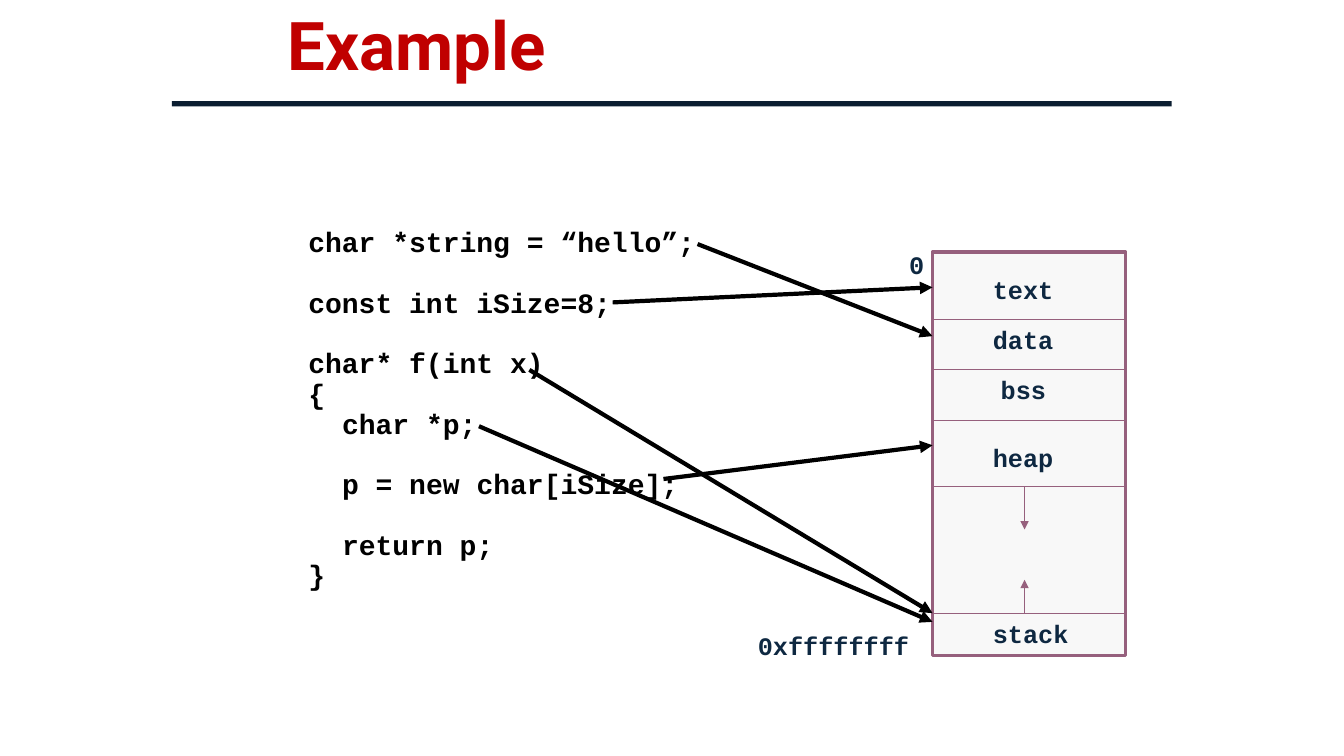
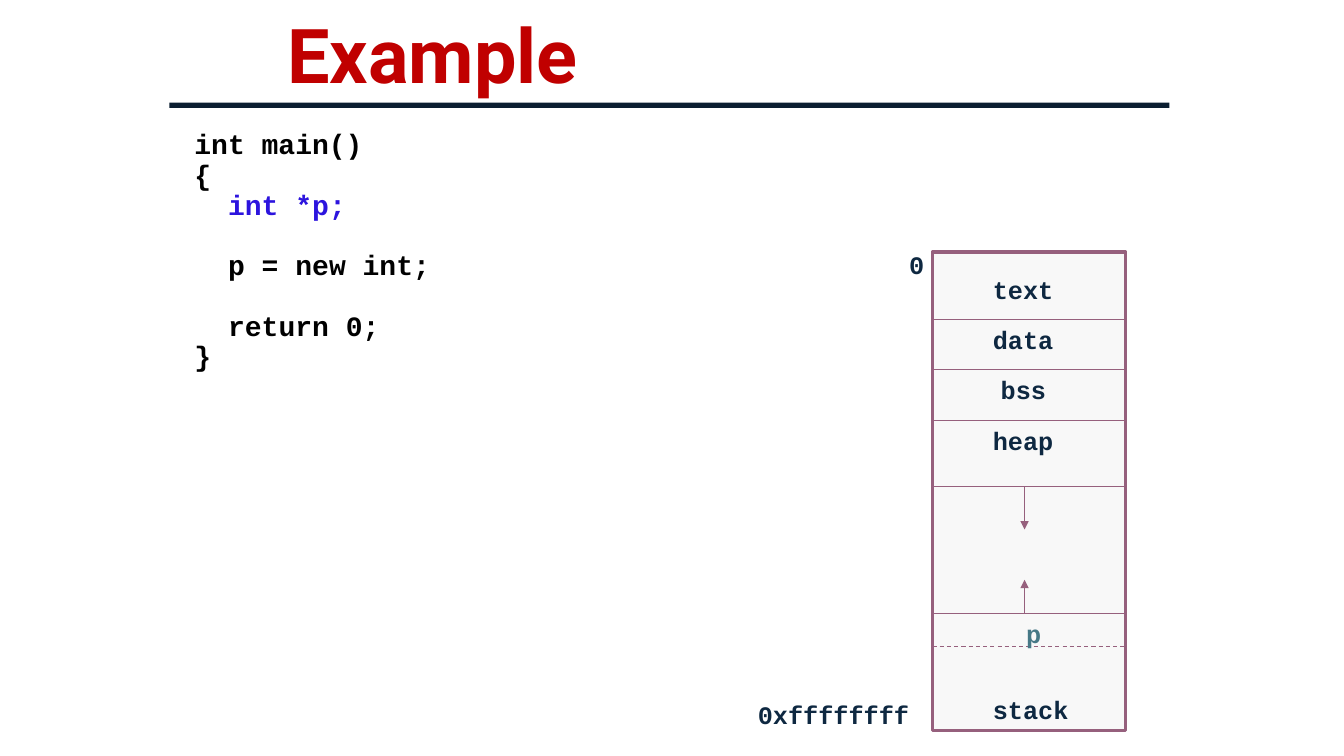
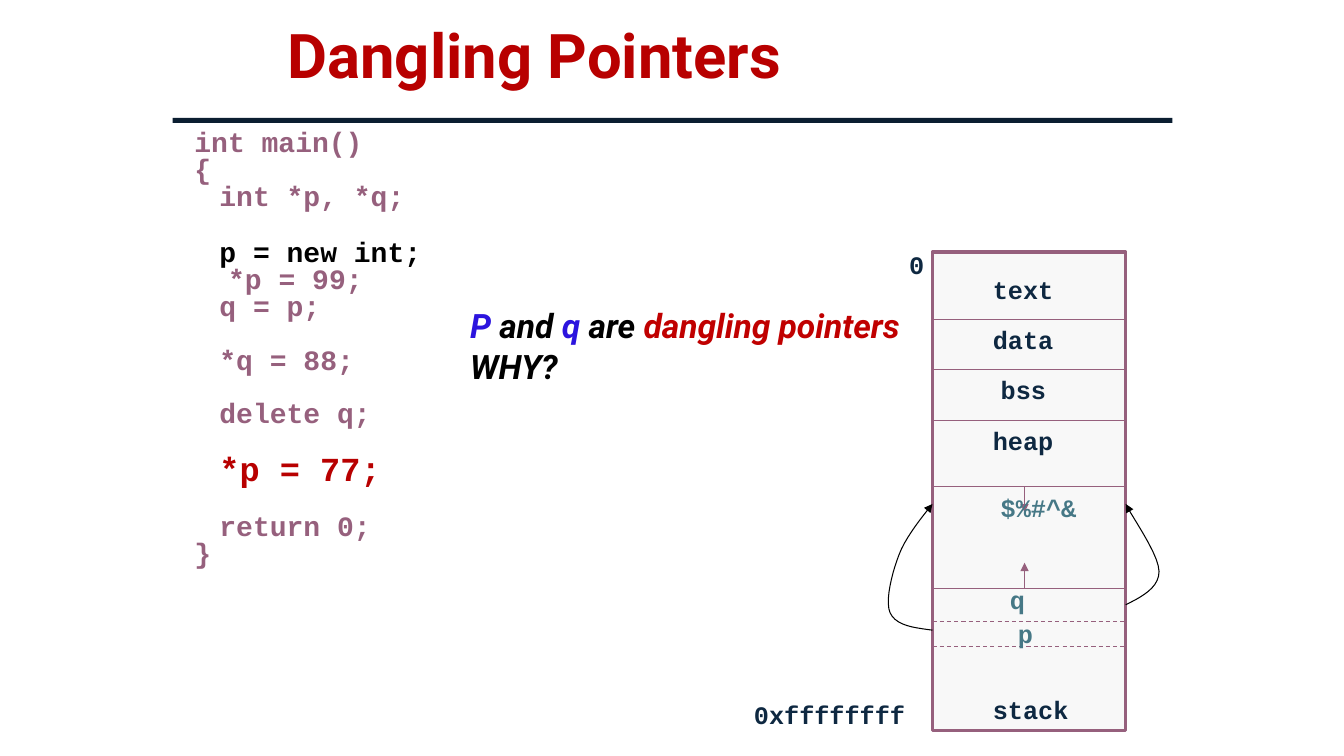
"""Build three slides on C++ program memory: code beside a memory column."""
import pptx
import pptx.dml.color
import pptx.enum.dml
import pptx.enum.shapes
import pptx.enum.text
import pptx.oxml.xmlchemy
import pptx.util

Cm, Pt = pptx.util.Cm, pptx.util.Pt
COLORS = {
    "title": "C00000", "alarm": "B80000", "rule": "0B1E31", "ink": "000000",
    "blue": "2C14DE", "plum": "96607D", "navy": "0E2841", "teal": "467886",
    "memory": "F8F8F8",
}
CODE_FONT, TEXT_FONT = "Courier New", "Roboto"
COLUMN_LEFT, COLUMN_TOP, COLUMN_WIDTH = 23.5, 6.35, 4.87
COLUMN_RIGHT = COLUMN_LEFT + COLUMN_WIDTH
GROWTH_X, HEAP_END = 25.82, 12.27
SEGMENT_ENDS = [8.05, 9.32, 10.59, HEAP_END]
SEGMENT_LABELS = [("0", 22.66, 6.15), ("text", 24.77, 6.78),
                  ("data", 24.77, 8.05), ("bss", 24.97, 9.32)]
SPACES, TAB = 0.85, 0.63

SLIDES = [
    {
        "title": ("Example", 48, "title", 2.44),
        "rule": (4.33, 2.55),
        "code_at": (7.52, 5.63), "spacing": 0.9,
        "code": [
            ("char *string = “hello”;", 0, 0, "ink", 20),
            ("const int iSize=8;", 0, 1, "ink", 20),
            ("char* f(int x)", 0, 1, "ink", 20),
            ("{", 0, 0, "ink", 20),
            ("char *p;", SPACES, 0, "ink", 20),
            ("p = new char[iSize];", SPACES, 1, "ink", 20),
            ("return p;", SPACES, 1, "ink", 20),
            ("}", 0, 0, "ink", 20),
        ],
        "bottom": 16.51, "stack_top": 15.45, "growth": (13.34, 14.61),
        "labels": [("heap", 24.77, 11.01), ("stack", 24.77, 15.45),
                   ("0xffffffff", 18.85, 15.77)],
        "pointers": [((17.58, 6.15), 8.47), ((15.44, 7.62), 7.24),
                     ((12.07, 10.74), 15.67), ((16.72, 12.07), 11.22),
                     ((13.34, 9.32), 15.45)],
    },
    {
        "title": ("Example", 54, "title", 2.97),
        "rule": (4.27, 2.59),
        "code_at": (4.65, 3.16), "spacing": 0.9,
        "code": [
            ("int main()", 0, 0, "ink", 20),
            ("{", 0, 0, "ink", 20),
            ("int *p;", SPACES, 0, "blue", 20),
            ("p = new int;", SPACES, 1, "ink", 20),
            ("return 0;", SPACES, 1, "ink", 20),
            ("}", 0, 0, "ink", 20),
        ],
        "bottom": 18.42, "stack_top": 15.45, "growth": (13.34, 14.61),
        "variable_ends": [16.3],
        "labels": [("heap", 24.77, 10.59), ("stack", 24.77, 17.36),
                   ("0xffffffff", 18.85, 17.5)],
        "values": [("p", 25.61, 15.45)],
    },
    {
        "title": ("Dangling Pointers", 44, "alarm", 2.97),
        "rule": (4.35, 2.97),
        "code_at": (4.65, 3.18), "spacing": 0.8,
        "code": [
            ("int main()", 0, 0, "plum", 20),
            ("{", 0, 0, "plum", 20),
            ("int *p, *q;", TAB, 0, "plum", 20),
            ("p = new int;", TAB, 1.1, "ink", 20),
            ("*p = 99;", SPACES, 0, "plum", 20),
            ("q = p;", TAB, 0, "plum", 20),
            ("*q = 88;", TAB, 1, "plum", 20),
            ("delete q;", TAB, 1, "plum", 20),
            ("*p = 77;", TAB, 1, "alarm", 24),
            ("return 0;", TAB, 1, "plum", 20),
            ("}", 0, 0, "plum", 20),
        ],
        "bottom": 18.42, "stack_top": 14.82, "growth": (12.91, 14.18),
        "variable_ends": [15.67, 16.3],
        "labels": [("heap", 24.77, 10.59), ("stack", 24.77, 17.36),
                   ("0xffffffff", 18.75, 17.5)],
        "values": [("$%#^&", 24.97, 12.27), ("p", 25.4, 15.45), ("q", 25.2, 14.61)],
        "curves": [
            [(23.5, 15.88), (23.04, 15.82), (22.58, 15.77), (22.43, 15.44),
             (22.3, 15.14), (22.48, 14.43), (22.66, 13.97),
             (22.83, 13.51), (23.34, 12.9), (23.5, 12.7)],
            [(28.37, 15.24), (28.78, 15.04), (29.21, 14.81), (29.21, 14.4),
             (29.21, 13.97), (28.5, 12.98), (28.37, 12.7)],
        ],
        "note": [
            [("P", "blue"), (" and ", "ink"), ("q", "blue"), (" are ", "ink"),
             ("dangling pointers", "title")],
            [("WHY?", "ink")],
        ],
    },
]


def rgb(name):
    return pptx.dml.color.RGBColor.from_string(COLORS[name])


def style(font, face, size, color):
    font.name, font.size, font.bold = face, Pt(size), True
    font.color.rgb = rgb(color)


def add_text_box(slide, left, top, width, height):
    frame = slide.shapes.add_textbox(Cm(left), Cm(top), Cm(width), Cm(height)).text_frame
    frame.word_wrap = True
    return frame


def add_rect(slide, left, top, width, height, fill, border=None):
    rect = slide.shapes.add_shape(pptx.enum.shapes.MSO_SHAPE.RECTANGLE,
                                  Cm(left), Cm(top), Cm(width), Cm(height))
    rect.shadow.inherit = False
    rect.fill.solid()
    rect.fill.fore_color.rgb = rgb(fill)
    if border:
        rect.line.color.rgb, rect.line.width = rgb(border), Pt(2.25)
    else:
        rect.line.fill.background()


def style_line(line, color, weight, arrow):
    line.color.rgb, line.width = rgb(color), Pt(weight)
    if arrow:
        tail = pptx.oxml.xmlchemy.OxmlElement("a:tailEnd")
        tail.set("type", "triangle")
        line._get_or_add_ln().append(tail)


def add_line(slide, start, end, color="plum", weight=0.75, arrow=False, dashed=False):
    connector = slide.shapes.add_connector(
        pptx.enum.shapes.MSO_CONNECTOR.STRAIGHT, *(Cm(v) for v in (*start, *end)))
    if dashed:
        connector.line.dash_style = pptx.enum.dml.MSO_LINE.DASH
    style_line(connector.line, color, weight, arrow)
    connector._element.spPr.append(pptx.oxml.xmlchemy.OxmlElement("a:effectLst"))


def bezier_points(controls, steps=10):
    for first in range(0, len(controls) - 1, 3):
        a, b, c, d = controls[first:first + 4]
        for step in range(1, steps + 1):
            t = step / steps
            u = 1 - t
            yield tuple(int(Cm(u**3 * p + 3 * u * u * t * q + 3 * u * t * t * r + t**3 * s))
                        for p, q, r, s in zip(a, b, c, d))


def add_curve(slide, controls):
    start_x, start_y = controls[0]
    builder = slide.shapes.build_freeform(Cm(start_x), Cm(start_y))
    builder.add_line_segments(list(bezier_points(controls)), close=False)
    curve = builder.convert_to_shape()
    curve.shadow.inherit = False
    curve.fill.background()
    style_line(curve.line, "ink", 0.75, True)


def add_title(slide, text, size, color, height):
    title = slide.shapes.title
    title.left, title.top, title.width, title.height = Cm(6.99), Cm(0), Cm(22.66), Cm(height)
    frame = title.text_frame
    frame.text = text
    frame.vertical_anchor = pptx.enum.text.MSO_ANCHOR.MIDDLE
    paragraph = frame.paragraphs[0]
    paragraph.alignment = pptx.enum.text.PP_ALIGN.LEFT
    paragraph.line_spacing = 0.9
    style(paragraph.font, TEXT_FONT, size, color)


def add_code(slide, position, lines, spacing):
    frame = add_text_box(slide, *position, 15, 11.4)
    for index, (text, indent, blank_lines, color, size) in enumerate(lines):
        paragraph = frame.add_paragraph() if index else frame.paragraphs[0]
        paragraph.text = text
        paragraph.line_spacing = Pt(1.2 * size * spacing)
        paragraph.space_before = Pt(1.2 * 20 * spacing * blank_lines)
        paragraph._p.get_or_add_pPr().set("marL", str(int(Cm(indent))))
        style(paragraph.font, CODE_FONT, size, color)


def add_label(slide, text, left, top, color="navy"):
    paragraph = add_text_box(slide, left, top, 4.6, 1.02).paragraphs[0]
    paragraph.text = text
    style(paragraph.font, CODE_FONT, 18, color)


def add_memory(slide, content):
    stack_top = content["stack_top"]
    add_rect(slide, COLUMN_LEFT, COLUMN_TOP, COLUMN_WIDTH,
             content["bottom"] - COLUMN_TOP, "memory", "plum")
    variable_ends = content.get("variable_ends", [])
    for y in SEGMENT_ENDS + [stack_top] + variable_ends:
        add_line(slide, (COLUMN_LEFT, y), (COLUMN_RIGHT, y), dashed=y in variable_ends)
    for start, end in zip((HEAP_END, stack_top), content["growth"]):
        add_line(slide, (GROWTH_X, start), (GROWTH_X, end), arrow=True)
    for label in SEGMENT_LABELS + content["labels"]:
        add_label(slide, *label)
    for value in content.get("values", []):
        add_label(slide, *value, "teal")


def add_note(slide, lines):
    frame = add_text_box(slide, 11.6, 7.57, 12, 2.31)
    for index, runs in enumerate(lines):
        paragraph = frame.add_paragraph() if index else frame.paragraphs[0]
        for text, color in runs:
            run = paragraph.add_run()
            run.text = text
            style(run.font, TEXT_FONT, 24, color)
            run.font.italic = True


def main():
    deck = pptx.Presentation()
    deck.slide_width, deck.slide_height = Cm(33.87), Cm(19.05)
    for content in SLIDES:
        slide = deck.slides.add_slide(deck.slide_layouts.get_by_name("Title Only"))
        add_title(slide, *content["title"])
        add_code(slide, content["code_at"], content["code"], content["spacing"])
        add_memory(slide, content)
        for start, target_y in content.get("pointers", []):
            add_line(slide, start, (COLUMN_LEFT, target_y), "ink", 3, arrow=True)
        for controls in content.get("curves", []):
            add_curve(slide, controls)
        add_rect(slide, *content["rule"], 25.2, 0.13, "rule")
        if "note" in content:
            add_note(slide, content["note"])
    deck.save("out.pptx")


if __name__ == "__main__":
    main()
